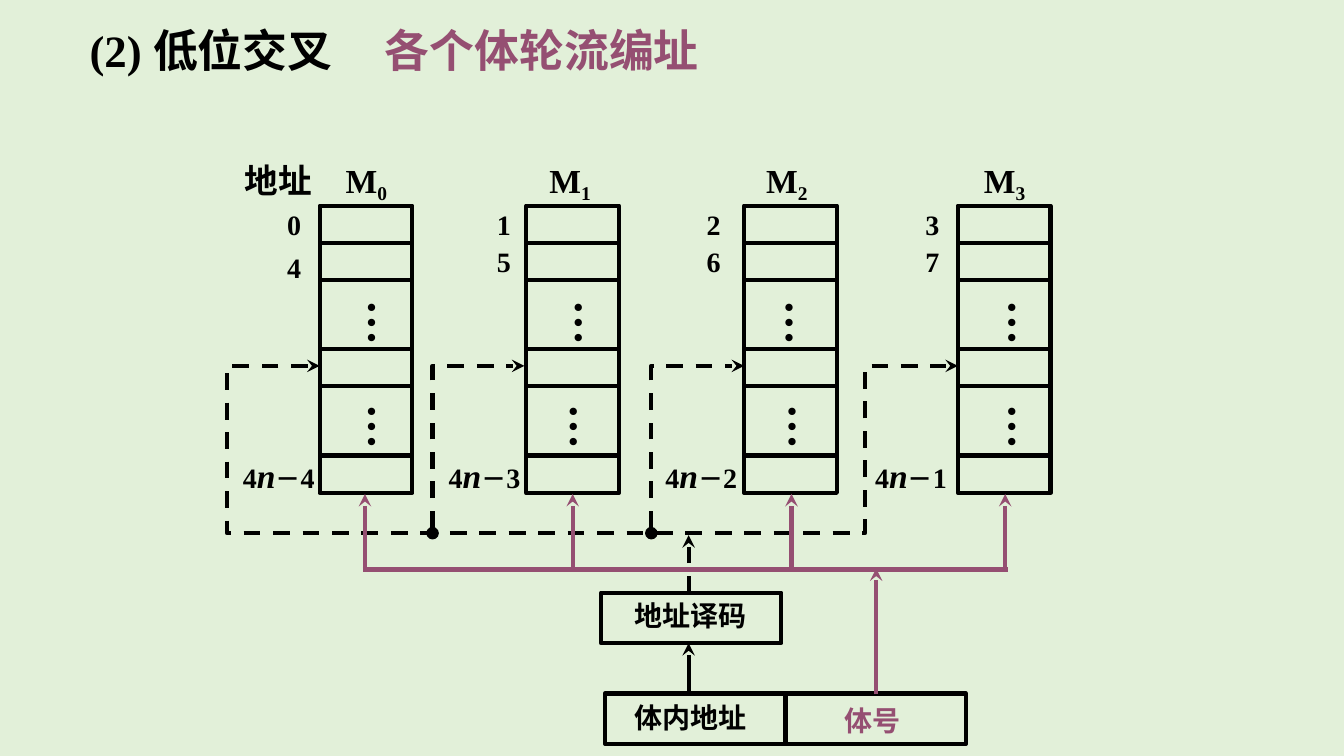
from pptx import Presentation
from pptx.dml.color import RGBColor
from pptx.enum.dml import MSO_LINE
from pptx.enum.shapes import MSO_CONNECTOR, MSO_SHAPE
from pptx.enum.text import MSO_AUTO_SIZE
from pptx.oxml.ns import qn
from pptx.util import Inches, Pt
from lxml import etree

RECT = MSO_SHAPE.RECTANGLE
STRAIGHT = MSO_CONNECTOR.STRAIGHT
DASH = MSO_LINE.DASH
FIT = MSO_AUTO_SIZE.SHAPE_TO_FIT_TEXT

THEME = {
    "font": "Times New Roman", "back": "E2F0D9", "ink": "000000", "plum": "954F72",
    "title": 32, "dots": 32, "name": 24, "body": 20, "minus": 18, "line": 3,
}

TITLE = ("(2) 低位交叉", "\t各个体轮流编址")
TITLE_TAB = 2.93
HEAD = ("地址", 2.33, 1.54, 0.88, 0.51)
BANKS = [
    {"x": 3.17, "name": 3.33, "addr": 2.75, "last": 2.31, "dots": (3.41, 3.41), "bus": 3.62, "low": 2.44},
    {"x": 5.22, "name": 5.35, "addr": 4.83, "last": 4.35, "dots": (5.46, 5.41), "bus": 5.68, "low": 2.38},
    {"x": 7.38, "name": 7.50, "addr": 6.91, "last": 6.50, "dots": (7.55, 7.58), "bus": 7.85, "low": 2.38},
    {"x": 9.50, "name": 9.66, "addr": 9.08, "last": 8.58, "dots": (9.76, 9.76), "bus": 9.97, "low": 2.38},
]
CELLS = (0.37, 0.37, 0.68, 0.37, 0.69, 0.37)
TOP, WIDE = 2.04, 0.92
DOT_TOPS = (2.88, 3.91)
SELECT_Y, LOOP_Y, BUS_Y = 3.63, 5.29, 5.65
LOOPS = [
    ([(3.17, SELECT_Y), (2.25, SELECT_Y), (2.25, LOOP_Y),
      (8.58, LOOP_Y), (8.58, SELECT_Y), (9.5, SELECT_Y)], "stealth"),
    ([(4.29, LOOP_Y), (4.29, SELECT_Y), (5.2, SELECT_Y)], "oval"),
    ([(6.46, LOOP_Y), (6.46, SELECT_Y), (7.38, SELECT_Y)], "oval"),
]
BOXES = [(5.96, 5.88), (6.0, 6.88), (7.79, 6.88)]
BOX_SIZE = (1.79, 0.5)
LABELS = [
    ("地址译码", 6.19, 5.89, 1.33, "ink"),
    ("体内地址", 6.19, 6.9, 1.33, "ink"),
    ("体号", 8.28, 6.93, 0.76, "plum"),
]

deck = Presentation()
deck.slide_width, deck.slide_height = Inches(13.33), Inches(7.5)
slide = deck.slides.add_slide(deck.slide_layouts[6])
shapes = slide.shapes


def hue(key):
    return RGBColor.from_string(THEME[key])


def text(runs, x, y, w, h, size="body", color="ink", wrap=False, upright=False, tab=None):
    box = shapes.add_textbox(Inches(x), Inches(y), Inches(w), Inches(h))
    frame = box.text_frame
    frame.word_wrap = wrap
    frame.auto_size = FIT
    if upright:
        frame._txBody.bodyPr.set("vert", "eaVert")
    para = frame.paragraphs[0]
    if tab:
        stops = etree.SubElement(para._p.get_or_add_pPr(), qn("a:tabLst"))
        etree.SubElement(stops, qn("a:tab"), pos=str(Inches(tab)), algn="l")
    for words, style in [(runs, {})] if isinstance(runs, str) else runs:
        run = para.add_run()
        run.text = words
        font = run.font
        font.name, font.bold = THEME["font"], True
        font.size = Pt(THEME[style.get("size", size)])
        font.color.rgb = hue(style.get("color", color))
        if style.get("italic"):
            font.italic = True
        if style.get("sub"):
            run._r.get_or_add_rPr().set("baseline", "-20000")


def stroke(shape, color="ink", dash=False, head=None, tail=None):
    line = shape.line
    line.color.rgb = hue(color)
    line.width = Pt(THEME["line"])
    if dash:
        line.dash_style = DASH
    ln = line._get_or_add_ln()
    for tag, kind in (("a:headEnd", head), ("a:tailEnd", tail)):
        if kind:
            etree.SubElement(ln, qn(tag), type=kind)


def rect(x, y, w, h):
    shape = shapes.add_shape(RECT, Inches(x), Inches(y), Inches(w), Inches(h))
    shape.shadow.inherit = False
    shape.fill.background()
    stroke(shape)


def link(x1, y1, x2, y2, **style):
    line = shapes.add_connector(STRAIGHT, Inches(x1), Inches(y1), Inches(x2), Inches(y2))
    stroke(line, **style)
    etree.SubElement(line._element.spPr, qn("a:effectLst"))


def loop(points, head):
    spots = [(Inches(x), Inches(y)) for x, y in points]
    pen = shapes.build_freeform(*spots[0])
    pen.add_line_segments(spots[1:], close=False)
    shape = pen.convert_to_shape()
    shape.shadow.inherit = False
    shape.fill.background()
    stroke(shape, dash=True, head=head, tail="stealth")


def bank(num, spec_row):
    row = spec_row
    text([("M", {}), (str(num), {"sub": True})], row["name"], 1.54, 0.63, 0.5, size="name")
    text(str(num), row["addr"], 2.01, 0.34, 0.43)
    text(str(num + 4), row["addr"], row["low"], 0.34, 0.43)
    y = TOP
    for tall in CELLS:
        rect(row["x"], y, WIDE, tall)
        y += tall
    for x, y in zip(row["dots"], DOT_TOPS):
        text("…", x, y, 0.74, 0.55, size="dots", upright=True)
    last = [("4", {}), ("n", {"size": "name", "italic": True}),
            ("－", {"size": "minus"}), (str(4 - num), {})]
    text(last, row["last"], 4.46, WIDE, 0.5, wrap=True)


def main():
    back = slide.background.fill
    back.solid()
    back.fore_color.rgb = hue("back")
    text([(TITLE[0], {}), (TITLE[1], {"color": "plum"})], 0.79, 0.18, 6.46, 0.63,
         size="title", wrap=True, tab=TITLE_TAB)
    text(*HEAD, size="name")
    for num, row in enumerate(BANKS):
        bank(num, row)
    for points, head in LOOPS:
        loop(points, head)
    for x, y in BOXES:
        rect(x, y, *BOX_SIZE)
    for words, x, y, w, color in LABELS:
        text(words, x, y, w, 0.44, color=color)
    link(6.83, 6.88, 6.83, 6.38, tail="stealth")
    link(6.83, 5.88, 6.83, 5.31, dash=True, tail="stealth")
    link(8.69, 6.89, 8.69, 5.64, color="plum", tail="stealth")
    for row in BANKS:
        link(row["bus"], BUS_Y, row["bus"], 4.9, color="plum", tail="stealth")
    link(3.6, BUS_Y, 10, BUS_Y, color="plum")
    deck.save("out.pptx")


if __name__ == "__main__":
    main()
